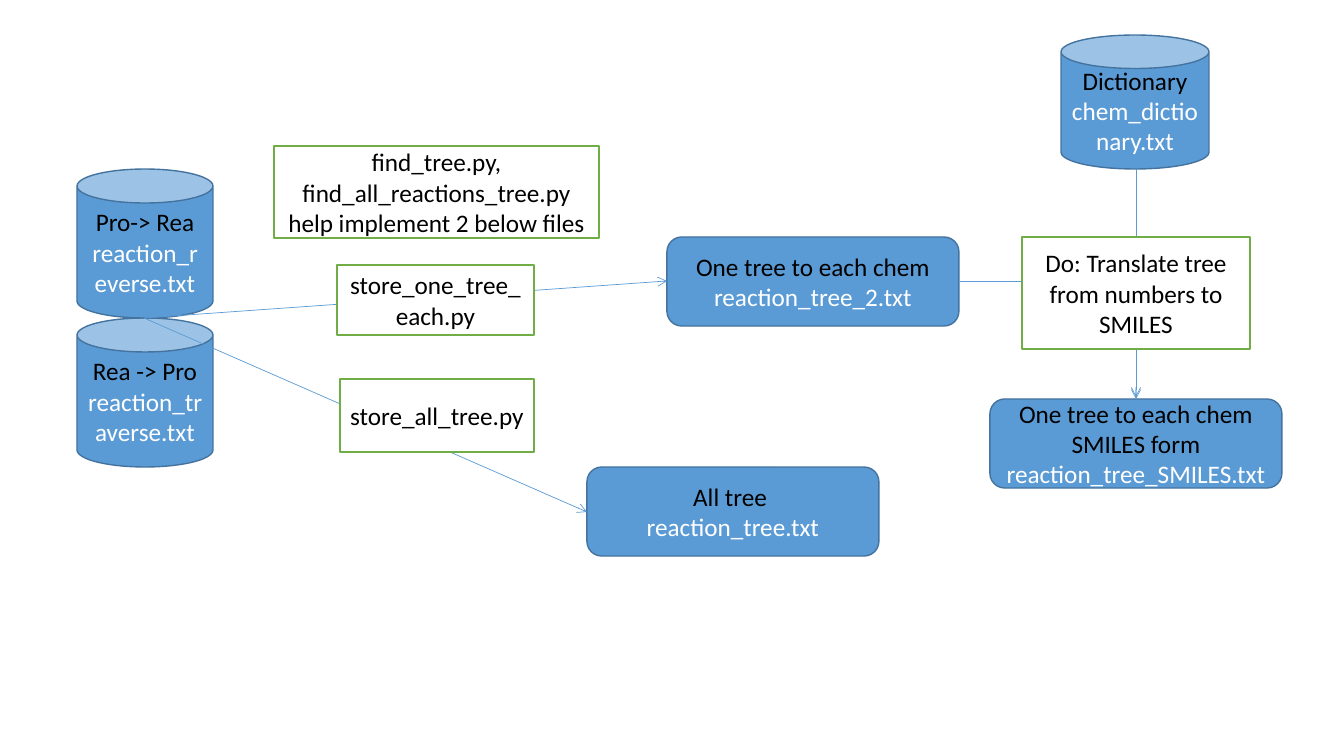
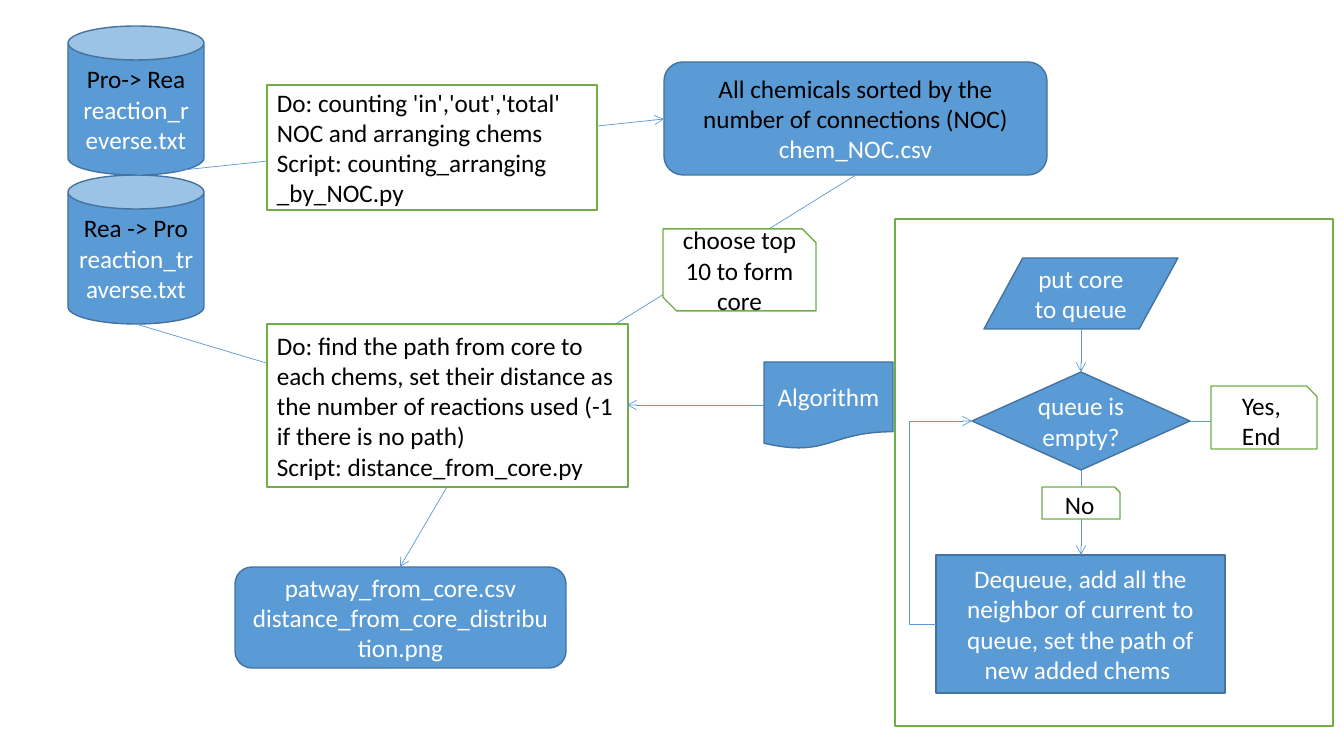
from dataclasses import dataclass
from typing import NamedTuple

from lxml.etree import SubElement
from pptx import Presentation
from pptx.dml.color import RGBColor
from pptx.enum.shapes import MSO_CONNECTOR, MSO_SHAPE
from pptx.enum.text import MSO_ANCHOR, PP_ALIGN
from pptx.oxml.ns import qn
from pptx.slide import Slide
from pptx.util import Emu, Pt

SCALE = 914400 / 100.8
FONT = "Calibri"
BLUE, NAVY, GREEN = "5B9BD5", "43739E", "70AD47"
BLACK, WHITE = "000000", "FFFFFF"


class Run(NamedTuple):
    text: str
    tint: str


Para = tuple[Run, ...]


@dataclass(frozen=True)
class Box:
    kind: MSO_SHAPE
    x: int
    y: int
    w: int
    h: int
    text: tuple[Para, ...] = ()
    fill: str = BLUE
    edge: str = NAVY
    align: PP_ALIGN = PP_ALIGN.CENTER


@dataclass(frozen=True)
class Link:
    x: int
    y: int
    to_x: int
    to_y: int
    bend: str = ""
    turn: int | None = None


def px(size: int) -> Emu:
    return Emu(round(size * SCALE))


def color(code: str) -> RGBColor:
    return RGBColor.from_string(code)


def dark(text: str) -> Para:
    return (Run(text, BLACK),)


def pale(text: str) -> Para:
    return (Run(text, WHITE),)


def note(x: int, y: int, w: int, h: int, *text: Para,
         kind: MSO_SHAPE = MSO_SHAPE.RECTANGLE,
         align: PP_ALIGN = PP_ALIGN.CENTER) -> Box:
    return Box(kind, x, y, w, h, text, WHITE, GREEN, align)


def stores(x: int, y: int) -> list[Box]:
    wide, tall = 136, 149
    return [
        Box(MSO_SHAPE.CAN, x, y + tall, wide, tall,
            (dark("Rea -> Pro"), pale("reaction_traverse.txt"))),
        Box(MSO_SHAPE.CAN, x, y, wide, tall,
            (dark("Pro-> Rea") + pale(" reaction_reverse.txt"),)),
    ]


def result(x: int, y: int, *text: Para) -> Box:
    return Box(MSO_SHAPE.ROUNDED_RECTANGLE, x, y, 292, 89, text)


def draw_box(slide: Slide, box: Box) -> None:
    shape = slide.shapes.add_shape(
        box.kind, px(box.x), px(box.y), px(box.w), px(box.h))
    shape.shadow.inherit = False
    shape.fill.solid()
    shape.fill.fore_color.rgb = color(box.fill)
    shape.line.color.rgb = color(box.edge)
    shape.line.width = Pt(1)
    frame = shape.text_frame
    frame.word_wrap = True
    frame.vertical_anchor = MSO_ANCHOR.MIDDLE
    for spot, para in enumerate(box.text):
        line = frame.add_paragraph() if spot else frame.paragraphs[0]
        line.alignment = box.align
        line.font.name = FONT
        line.font.size = Pt(18)
        line.font.color.rgb = color(para[0].tint)
        for part in para:
            run = line.add_run()
            run.text = part.text
            if part.tint != para[0].tint:
                run.font.color.rgb = color(part.tint)


def draw_link(slide: Slide, link: Link) -> None:
    kind = MSO_CONNECTOR.ELBOW if link.bend else MSO_CONNECTOR.STRAIGHT
    line = slide.shapes.add_connector(
        kind, px(link.x), px(link.y), px(link.to_x), px(link.to_y))
    line.line.color.rgb = color(BLUE)
    line.line.width = Pt(0.5)
    SubElement(line.get_or_add_ln(), qn("a:tailEnd"), type="arrow")
    props = line.element.spPr
    SubElement(props, qn("a:effectLst"))
    if link.bend:
        form = props.find(qn("a:prstGeom"))
        form.set("prst", link.bend)
        if link.turn is not None:
            SubElement(form.find(qn("a:avLst")), qn("a:gd"),
                       name="adj1", fmla=f"val {link.turn}")


def draw(slide: Slide, items: list[Box | Link]) -> None:
    for item in items:
        if isinstance(item, Box):
            draw_box(slide, item)
        else:
            draw_link(slide, item)


TREES = [
    *stores(77, 169),
    Box(MSO_SHAPE.CAN, 1061, 35, 148, 134,
        (dark("Dictionary"), pale("chem_dictionary.txt"))),
    result(667, 237, dark("One tree to each chem"),
           pale("reaction_tree_2.txt")),
    result(587, 467, dark("All tree "), pale("reaction_tree.txt")),
    Link(144, 318, 667, 281),
    Link(144, 318, 587, 512),
    note(337, 265, 197, 70, dark("store_one_tree_each.py")),
    note(340, 379, 194, 73, dark("store_all_tree.py")),
    note(274, 146, 325, 92,
         dark("find_tree.py, find_all_reactions_tree.py"),
         dark("help implement 2 below files")),
    Link(1136, 169, 1136, 397),
    result(990, 399, dark("One tree to each chem"), dark("SMILES form"),
           pale("reaction_tree_SMILES.txt")),
    Link(960, 281, 1136, 399, "bentConnector2"),
    note(1022, 237, 228, 112,
         dark("Do: Translate tree from numbers to SMILES")),
]

PATHS = [
    note(895, 219, 438, 507),
    *stores(68, 26),
    Box(MSO_SHAPE.ROUNDED_RECTANGLE, 664, 62, 383, 113,
        (dark("All chemicals sorted by the number of connections (NOC)"),
         pale("chem_NOC.csv"))),
    Link(136, 175, 664, 119),
    note(267, 85, 330, 125,
         dark("Do: counting 'in','out','total' NOC and arranging chems"),
         dark("Script: counting_arranging _by_NOC.py"),
         align=PP_ALIGN.LEFT),
    Link(856, 175, 548, 366),
    note(663, 229, 153, 82, dark("choose top 10 to form core"),
         kind=MSO_SHAPE.SNIP_2_DIAG_RECTANGLE),
    Link(136, 324, 433, 413),
    Box(MSO_SHAPE.ROUNDED_RECTANGLE, 235, 567, 331, 101,
        (pale("patway_from_core.csv"),
         pale("distance_from_core_distribution.png"))),
    note(267, 324, 361, 163,
         dark("Do: find the path from core to each chems, set their distance "
              "as the number of reactions used (-1 if there is no path)"),
         dark("Script: distance_from_core.py"), align=PP_ALIGN.LEFT),
    Link(447, 487, 400, 567),
    Box(MSO_SHAPE.FLOWCHART_DOCUMENT, 764, 362, 129, 87,
        (pale("Algorithm"),)),
    Box(MSO_SHAPE.FLOWCHART_DATA, 984, 258, 194, 71,
        (pale("put core to queue"),)),
    Box(MSO_SHAPE.FLOWCHART_DECISION, 972, 372, 218, 98,
        (pale("queue is empty?"),)),
    Box(MSO_SHAPE.FLOWCHART_PROCESS, 936, 555, 289, 138,
        (pale("Dequeue, add all the neighbor of current to queue, "
              "set the path of new added chems "),)),
    Link(764, 405, 627, 405),
    Link(936, 624, 972, 421, "bentConnector3", -74000),
    Link(1081, 470, 1081, 555),
    Link(1081, 329, 1081, 372),
    note(1042, 487, 78, 32, dark("No"), kind=MSO_SHAPE.SNIP_1_RECTANGLE),
    Link(1190, 421, 1228, 421),
    note(1211, 386, 106, 63, dark("Yes, End"),
         kind=MSO_SHAPE.SNIP_1_RECTANGLE),
]

deck = Presentation()
deck.slide_width, deck.slide_height = px(1344), px(756)
for items in (TREES, PATHS):
    draw(deck.slides.add_slide(deck.slide_layouts[6]), items)
deck.save("out.pptx")
